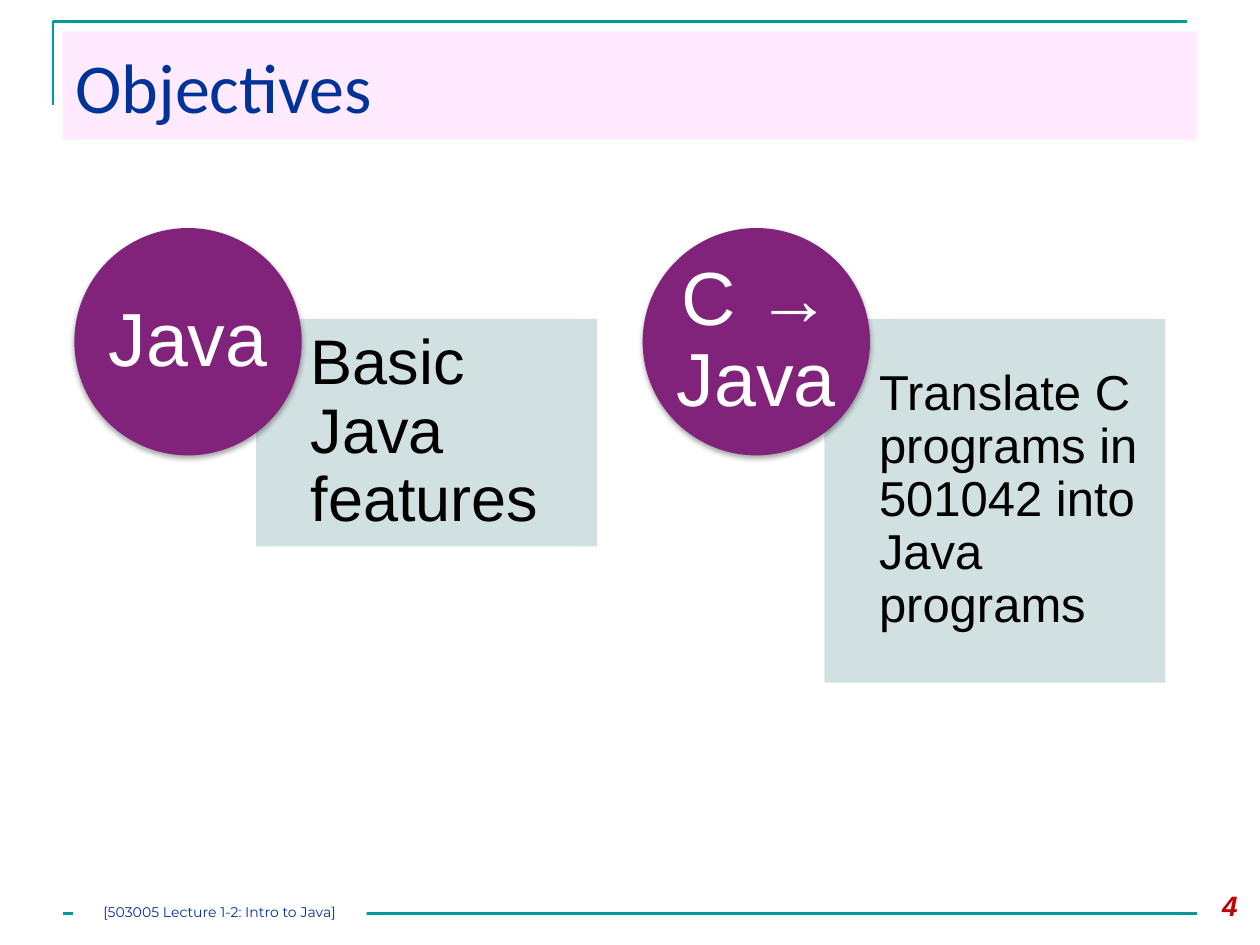
from dataclasses import dataclass

from lxml.etree import SubElement
from pptx import Presentation
from pptx.dml.color import RGBColor
from pptx.enum.shapes import MSO_CONNECTOR, MSO_SHAPE
from pptx.enum.text import MSO_ANCHOR, PP_ALIGN
from pptx.oxml.ns import qn
from pptx.util import Inches, Pt

SLIDE_WIDTH, SLIDE_HEIGHT = 10, 7.5
GRID_LEFT, GRID_TOP = 0.59, 1.81
GRID_COLUMNS = 4.8
UNIT = 8.66 / GRID_COLUMNS  # diameter of a topic circle
TOPIC_STEP = 2.5
LINE_SPACING = 0.9


@dataclass(frozen=True)
class Theme:
    rule: str = "009999"
    title_band: str = "FFCCFF"
    heading: str = "003399"
    panel: str = "CCDEDE"
    circle: str = "81237A"
    number: str = "C00000"
    white: str = "FFFFFF"
    black: str = "000000"
    body_font: str = "Arial"
    title_font: str = "Calibri"
    footer_font: str = "Montserrat"
    title_size: int = 40
    circle_size: int = 43
    number_size: int = 16
    footer_size: int = 8
    rule_width: float = 1.5


@dataclass(frozen=True)
class Area:
    left: float
    top: float
    width: float
    height: float

    def lengths(self):
        return [Inches(side) for side in (self.left, self.top, self.width, self.height)]


@dataclass(frozen=True)
class TextStyle:
    font: str
    size: int
    color: str
    bold: bool = False
    italic: bool = False
    align: PP_ALIGN = PP_ALIGN.LEFT
    anchor: MSO_ANCHOR = MSO_ANCHOR.MIDDLE
    insets: tuple = (0, 0, 0, 0)
    spacing: float = 1.0


@dataclass(frozen=True)
class Topic:
    name: str
    detail: str
    detail_size: int
    rows: float


THEME = Theme()
TOPICS = (
    Topic("Java", "Basic Java features", 36, 1),
    Topic("C → Java", "Translate C programs in 501042 into Java programs", 28, 1.6),
)


def grid_area(column: float, row: float, columns: float, rows: float) -> Area:
    return Area(GRID_LEFT + column * UNIT, GRID_TOP + row * UNIT, columns * UNIT, rows * UNIT)


def write(box, text: str, style: TextStyle) -> None:
    frame = box.text_frame
    frame.word_wrap = True
    frame.vertical_anchor = style.anchor
    (frame.margin_left, frame.margin_top,
     frame.margin_right, frame.margin_bottom) = [Inches(inset) for inset in style.insets]
    para = frame.paragraphs[0]
    para.alignment = style.align
    para.line_spacing = style.spacing
    span = para.add_run()
    span.text = text
    span.font.name = style.font
    span.font.size = Pt(style.size)
    span.font.bold = style.bold
    span.font.italic = style.italic
    span.font.color.rgb = RGBColor.from_string(style.color)


def add_text(page, area: Area, text: str, style: TextStyle) -> None:
    write(page.shapes.add_textbox(*area.lengths()), text, style)


def add_filled(page, kind: MSO_SHAPE, area: Area, color: str, opacity: int = 100):
    """Add a borderless shape; opacity is a percentage."""
    shape = page.shapes.add_shape(kind, *area.lengths())
    shape.shadow.inherit = False
    shape.line.fill.background()
    shape.fill.solid()
    shape.fill.fore_color.rgb = RGBColor.from_string(color)
    if opacity < 100:
        color_element = shape.fill._xPr.find(qn("a:solidFill"))[0]
        SubElement(color_element, qn("a:alpha"), val=str(opacity * 1000))
    return shape


def style_rule(line) -> None:
    line.color.rgb = RGBColor.from_string(THEME.rule)
    line.width = Pt(THEME.rule_width)


def add_soft_shadow(shape) -> None:
    effects = shape._element.spPr.find(qn("a:effectLst"))
    shadow = SubElement(effects, qn("a:outerShdw"), blurRad=str(Pt(3.1)),
                        dist=str(Pt(1.8)), dir="5400000", rotWithShape="0")
    color = SubElement(shadow, qn("a:srgbClr"), val=THEME.black)
    SubElement(color, qn("a:alpha"), val="35000")


def add_rules(page) -> None:
    left, top = Inches(0.42), Inches(0.17)
    builder = page.shapes.build_freeform(left, Inches(0.83))
    builder.add_line_segments([(left, top), (Inches(9.42), top)], close=False)
    corner = builder.convert_to_shape()
    corner.shadow.inherit = False
    corner.fill.background()
    style_rule(corner.line)

    bottom = Inches(7.25)
    rule = page.shapes.add_connector(
        MSO_CONNECTOR.STRAIGHT, Inches(0.05 * SLIDE_WIDTH), bottom,
        Inches(0.95 * SLIDE_WIDTH), bottom)
    style_rule(rule.line)
    SubElement(rule._element.spPr, qn("a:effectLst"))


def add_title(page) -> None:
    band = add_filled(page, MSO_SHAPE.RECTANGLE, Area(0.5, 0.25, 9, 0.86), THEME.title_band, 40)
    write(band, "Objectives", TextStyle(THEME.title_font, THEME.title_size, THEME.heading,
                                        insets=(0.1, 0.05, 0.1, 0.05)))


def add_footer(page) -> None:
    label = add_filled(page, MSO_SHAPE.RECTANGLE, Area(0.58, 7.17, 2.33, 0.17), THEME.white)
    write(label, "[503005 Lecture 1-2: Intro to Java]",
          TextStyle(THEME.footer_font, THEME.footer_size, THEME.heading,
                    align=PP_ALIGN.CENTER, anchor=MSO_ANCHOR.TOP))
    add_text(page, Area(9.25, 7, 0.67, 0.4), "4",
             TextStyle(THEME.body_font, THEME.number_size, THEME.number, bold=True, italic=True,
                       align=PP_ALIGN.RIGHT, anchor=MSO_ANCHOR.TOP,
                       insets=(0.1, 0.05, 0.1, 0.05)))


def add_topic(page, topic: Topic, column: float) -> None:
    add_filled(page, MSO_SHAPE.RECTANGLE, grid_area(column + 0.8, 0.4, 1.5, topic.rows),
               THEME.panel, 90)
    inset = 0.28 * topic.detail_size / 36
    add_text(page, grid_area(column + 1.04, 0.4, 1.26, topic.rows), topic.detail,
             TextStyle(THEME.body_font, topic.detail_size, THEME.black,
                       insets=(0, inset, inset, inset), spacing=LINE_SPACING))
    circle = add_filled(page, MSO_SHAPE.OVAL, grid_area(column, 0, 1, 1), THEME.circle)
    add_soft_shadow(circle)
    inner = 0.5 ** 0.5  # side of the square inside the circle
    margin = (1 - inner) / 2
    add_text(page, grid_area(column + margin, margin, inner, inner), topic.name,
             TextStyle(THEME.body_font, THEME.circle_size, THEME.white,
                       align=PP_ALIGN.CENTER, spacing=LINE_SPACING))


def main() -> None:
    deck = Presentation()
    deck.slide_width, deck.slide_height = Inches(SLIDE_WIDTH), Inches(SLIDE_HEIGHT)
    page = deck.slides.add_slide(deck.slide_layouts[6])
    add_rules(page)
    add_title(page)
    add_footer(page)
    for index, topic in enumerate(TOPICS):
        add_topic(page, topic, index * TOPIC_STEP)
    deck.save("out.pptx")


if __name__ == "__main__":
    main()
